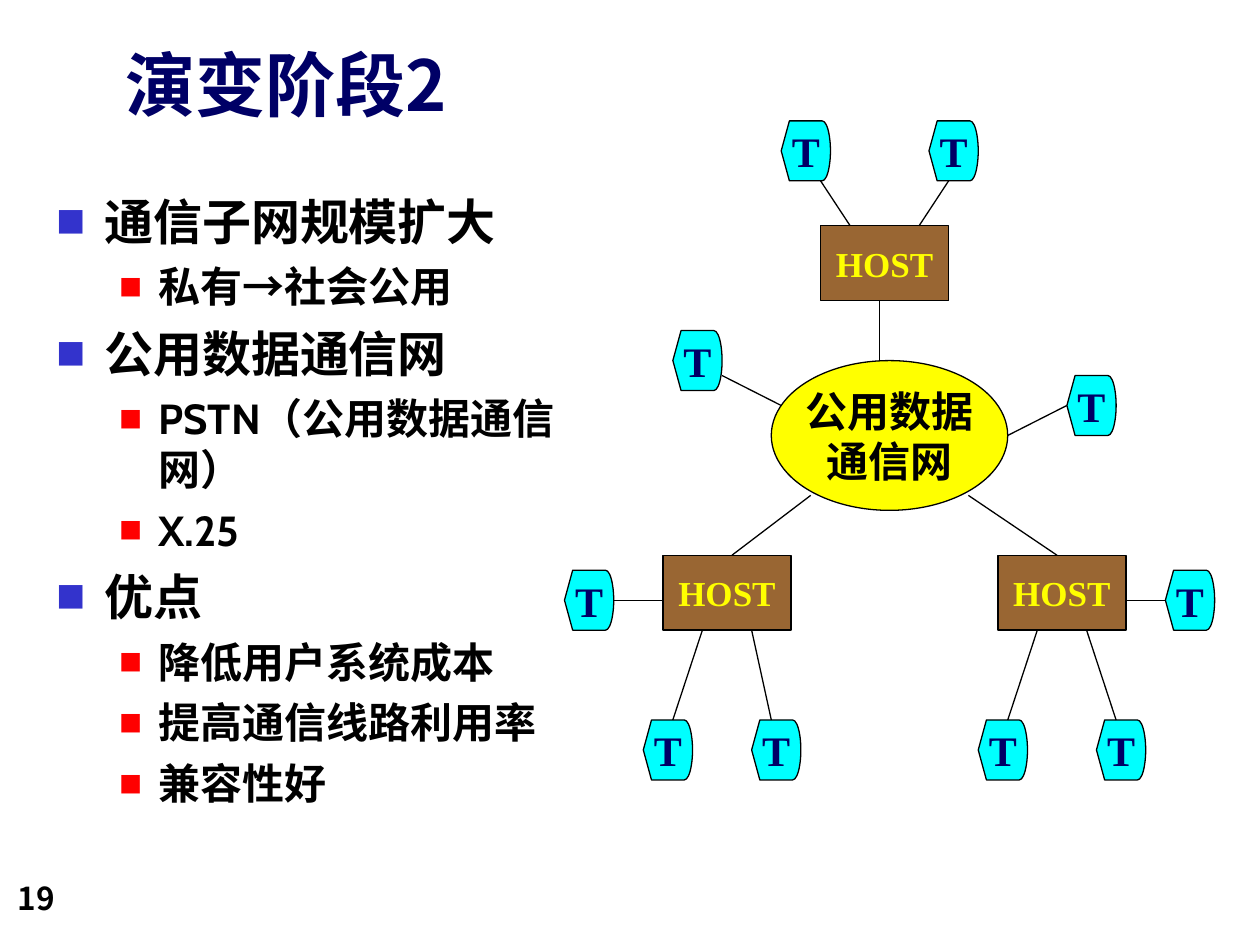
from lxml import etree
from pptx import Presentation
from pptx import util as u
from pptx.dml.color import RGBColor
from pptx.enum import shapes, text
from pptx.oxml.ns import qn

BLACK = RGBColor(0x00, 0x00, 0x00)
NAVY = RGBColor(0x00, 0x00, 0x66)
BLUE = RGBColor(0x33, 0x33, 0xCC)
RED = RGBColor(0xFF, 0x00, 0x00)
YELLOW = RGBColor(0xFF, 0xFF, 0x00)
BROWN = RGBColor(0x99, 0x66, 0x33)
CYAN = RGBColor(0x00, 0xFF, 0xFF)

SANS, SERIF = "Noto Sans CJK SC", "Times New Roman"
KIND = shapes.MSO_SHAPE
CLOUD = dict(kind=KIND.OVAL, span=(24, 10), fill=YELLOW, size=24, color=BLACK)
HOST = dict(kind=KIND.RECTANGLE, span=(13, 5), fill=BROWN, size=20, color=YELLOW)
TERM = dict(kind=KIND.FLOWCHART_DISPLAY, span=(5, 4), fill=CYAN, size=24, color=NAVY)
LEVELS = [
    dict(size=28, tint=BLUE, scale=60, left=0.38, hang=0.38, gap=7),
    dict(size=24, tint=RED, scale=55, left=0.81, hang=0.31, gap=6),
]
POINTS = [
    (0, "通信子网规模扩大"), (1, "私有→社会公用"),
    (0, "公用数据通信网"), (1, "PSTN（公用数据通信网）"), (1, "X.25"),
    (0, "优点"), (1, "降低用户系统成本"), (1, "提高通信线路利用率"), (1, "兼容性好"),
]
HOSTS = [(26, 7), (10, 29), (44, 29)]
TERMS = [(22, 0), (37, 0), (11, 14), (51, 17), (0, 30), (61, 30),
         (8, 40), (19, 40), (42, 40), (54, 40)]
LINKS = [
    (32, 12, 32, 16), (17, 29, 25, 25), (50, 29, 41, 25),
    (26, 4, 29, 7), (39, 4, 36, 7), (16, 17, 22, 19), (51, 19, 45, 21),
    (10, 32, 5, 32), (61, 32, 57, 32),
    (11, 40, 14, 34), (19, 34, 21, 40), (45, 40, 48, 34), (53, 34, 56, 40),
]


class Deck:
    """Holds the style, the diagram grid and the current slide."""

    def __init__(self):
        self.prs = Presentation()
        self.prs.slide_width, self.prs.slide_height = u.Inches(10), u.Inches(7.5)
        self.slide = self.prs.slides.add_slide(self.prs.slide_layouts[6])
        self.left, self.top = u.Inches(4.48), u.Inches(0.96)
        self.col, self.row = u.Inches(5.16) / 66, u.Inches(5.23) / 44

    def spot(self, x, y):
        return round(self.left + x * self.col), round(self.top + y * self.row)

    def words(self, para, line, face, size, color):
        run = para.add_run()
        run.text = line
        for key, val in dict(size=u.Pt(size), bold=True, name=face).items():
            setattr(run.font, key, val)
        run.font.color.rgb = color
        etree.SubElement(run.font._element, qn("a:ea"), typeface=SANS)

    def box(self, x, y, w, h, **fmt):
        wide, high = self.prs.slide_width, self.prs.slide_height
        area = [round(v) for v in (x * wide, y * high, w * wide, h * high)]
        frame = self.slide.shapes.add_textbox(*area).text_frame
        for key, val in fmt.items():
            setattr(frame, key, val)
        return frame

    def label(self, line, area, size, color, **fmt):
        frame = self.box(*area, **fmt)
        self.words(frame.paragraphs[0], line, SANS, size, color)

    def bullets(self, items, area):
        frame = self.box(*area, word_wrap=True)
        for i, (level, line) in enumerate(items):
            para = frame.add_paragraph() if i else frame.paragraphs[0]
            look = LEVELS[level]
            para.level = level
            props = para._p.get_or_add_pPr()
            props.set("marL", str(u.Inches(look["left"])))
            props.set("indent", str(-u.Inches(look["hang"])))
            tint = etree.SubElement(props, qn("a:buClr"))
            etree.SubElement(tint, qn("a:srgbClr"), val=str(look["tint"]))
            etree.SubElement(props, qn("a:buSzPct"), val=str(look["scale"] * 1000))
            etree.SubElement(props, qn("a:buFont"), typeface=SANS)
            etree.SubElement(props, qn("a:buChar"), char="■")
            para.space_before = u.Pt(look["gap"] if i else 0)
            self.words(para, line, "Cabin", look["size"], BLACK)

    def node(self, lines, x, y, kind, span, fill, size, color):
        start, end = self.spot(x, y), self.spot(x + span[0], y + span[1])
        shape = self.slide.shapes.add_shape(
            kind, *start, end[0] - start[0], end[1] - start[1])
        shape.shadow.inherit = False
        shape.fill.solid()
        shape.fill.fore_color.rgb = fill
        shape.line.color.rgb, shape.line.width = BLACK, u.Pt(0.75)
        frame = shape.text_frame
        fmt = dict(word_wrap=False, vertical_anchor=text.MSO_ANCHOR.MIDDLE)
        for key, val in fmt.items():
            setattr(frame, key, val)
        for i, line in enumerate(lines.split("\n")):
            para = frame.add_paragraph() if i else frame.paragraphs[0]
            para.alignment = text.PP_ALIGN.CENTER
            self.words(para, line, SERIF, size, color)

    def link(self, x1, y1, x2, y2):
        line = self.slide.shapes.add_connector(
            shapes.MSO_CONNECTOR.STRAIGHT, *self.spot(x1, y1), *self.spot(x2, y2))
        line.line.color.rgb, line.line.width = BLACK, u.Pt(0.75)
        etree.SubElement(line._element.spPr, qn("a:effectLst"))


def main():
    deck = Deck()
    deck.bullets(POINTS, (0.035, 0.196, 0.417, 0.67))
    deck.node("公用数据\n通信网", 21, 16, **CLOUD)
    for spot in HOSTS:
        deck.node("HOST", *spot, **HOST)
    for spot in TERMS:
        deck.node("T", *spot, **TERM)
    for ends in LINKS:
        deck.link(*ends)
    deck.label("演变阶段2", (0.09, 0.037, 0.289, 0.103), 40, NAVY, word_wrap=False)
    deck.label("19", (0.004, 0.91, 0.208, 0.067), 18, BLACK, word_wrap=True,
               vertical_anchor=text.MSO_ANCHOR.BOTTOM)
    deck.prs.save("out.pptx")


if __name__ == "__main__":
    main()
